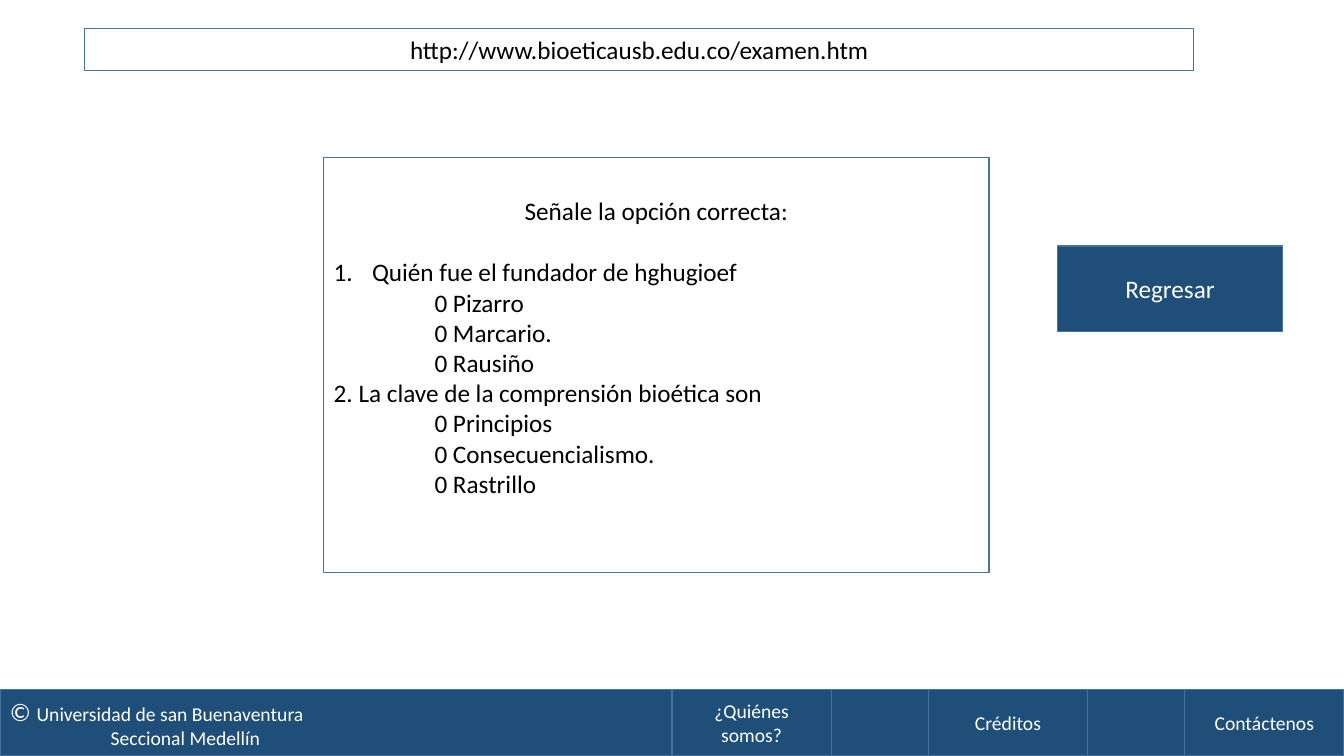
import dataclasses

import lxml.etree
import pptx
import pptx.dml.color
import pptx.enum.shapes
import pptx.enum.text
import pptx.oxml.ns
import pptx.util

Inches, Pt = pptx.util.Inches, pptx.util.Pt
Align, Anchor = pptx.enum.text.PP_ALIGN, pptx.enum.text.MSO_ANCHOR
RGB = pptx.dml.color.RGBColor.from_string
qn = pptx.oxml.ns.qn


@dataclasses.dataclass(frozen=True)
class Theme:
    font: str = "Calibri"
    paper: str = "FFFFFF"
    ink: str = "000000"
    navy: str = "1F4E79"
    outline: str = "43739E"
    text: int = 18
    small: int = 14


theme = Theme()


def place(panel, left, top, width, height, fill):
    panel.left, panel.top, panel.width, panel.height = map(Inches, (left, top, width, height))
    panel.fill.solid()
    panel.fill.fore_color.rgb = RGB(fill)
    panel.line.color.rgb = RGB(theme.outline)
    panel.line.width = Pt(1)
    panel.text_frame.word_wrap = True
    panel.text_frame.auto_size = pptx.enum.text.MSO_AUTO_SIZE.NONE
    panel.text_frame.vertical_anchor = Anchor.MIDDLE
    return panel.text_frame


def write(paragraph, text, size, color, align=Align.CENTER):
    paragraph.text = text
    paragraph.alignment = align
    paragraph.font.name = theme.font
    paragraph.font.size = Pt(size)
    paragraph.font.color.rgb = RGB(color)


W, H = 13.33, 7.5
deck = pptx.Presentation()
deck.slide_width, deck.slide_height = Inches(W), Inches(H)
slide = deck.slides.add_slide(deck.slide_layouts[1])
address, quiz = slide.placeholders

address_text = place(address, 0.84, 0.28, 11, 0.42, theme.paper)
write(address_text.paragraphs[0], "http://www.bioeticausb.edu.co/examen.htm", theme.text, theme.ink)

quiz_lines = [
    ("heading", "Señale la opción correcta:"),
    ("numbered", "Quién fue el fundador de hghugioef"),
    ("option", "0 Pizarro"),
    ("option", "0 Marcario."),
    ("option", "0 Rausiño"),
    ("question", "2. La clave de la comprensión bioética son"),
    ("option", "0 Principios"),
    ("option", "0 Consecuencialismo."),
    ("option", "0 Rastrillo"),
]
indents = {"heading": (0, 0), "numbered": (0.38, -0.38), "option": (1, 0), "question": (0, 0)}
quiz_text = place(quiz, 3.21, 1.56, 6.6, 4.12, theme.paper)
quiz_text.vertical_anchor = Anchor.TOP
quiz_text.margin_top = Inches(0.38)
for index, (role, line) in enumerate(quiz_lines):
    paragraph = quiz_text.add_paragraph() if index else quiz_text.paragraphs[0]
    properties = paragraph._p.get_or_add_pPr()
    margin, hanging = indents[role]
    properties.set("marL", str(Inches(margin)))
    properties.set("indent", str(Inches(hanging)))
    if role == "numbered":
        lxml.etree.SubElement(properties, qn("a:buFont"), typeface="+mj-lt")
        lxml.etree.SubElement(properties, qn("a:buAutoNum"), type="arabicPeriod")
    else:
        lxml.etree.SubElement(properties, qn("a:buNone"))
    paragraph.space_before = Pt(0)
    if role == "heading":
        paragraph.space_after = Pt(22)
    write(paragraph, line, theme.text, theme.ink, Align.CENTER if role == "heading" else Align.JUSTIFY)

footer_height, link_width = 0.66, 1.58
footer_top = H - footer_height
link_pitch = (W / 2 - link_width) / 2
buttons = [
    ("", 0, footer_top, W, footer_height, theme.small),
    ("Regresar", 10.49, 2.44, 2.23, 0.85, theme.text),
]
for column, label in enumerate(["¿Quiénes somos?", "Créditos", "Contáctenos"]):
    buttons.append((label, W / 2 + column * link_pitch, footer_top, link_width, footer_height, theme.small))

for label, left, top, width, height, size in buttons:
    button = slide.shapes.add_shape(pptx.enum.shapes.MSO_SHAPE.RECTANGLE, 0, 0, 0, 0)
    button.shadow.inherit = False
    button_text = place(button, left, top, width, height, theme.navy)
    if label:
        write(button_text.paragraphs[0], label, size, theme.paper)
    else:
        owner = button_text.paragraphs[0]
        write(owner, "© ", theme.text, theme.paper, Align.JUSTIFY)
        university = owner.add_run()
        university.text = "Universidad de san Buenaventura"
        university.font.size = Pt(size)
        branch = button_text.add_paragraph()
        branch._p.get_or_add_pPr().set("marL", str(Inches(1)))
        write(branch, "Seccional Medellín", size, theme.paper, Align.JUSTIFY)

deck.save("out.pptx")
